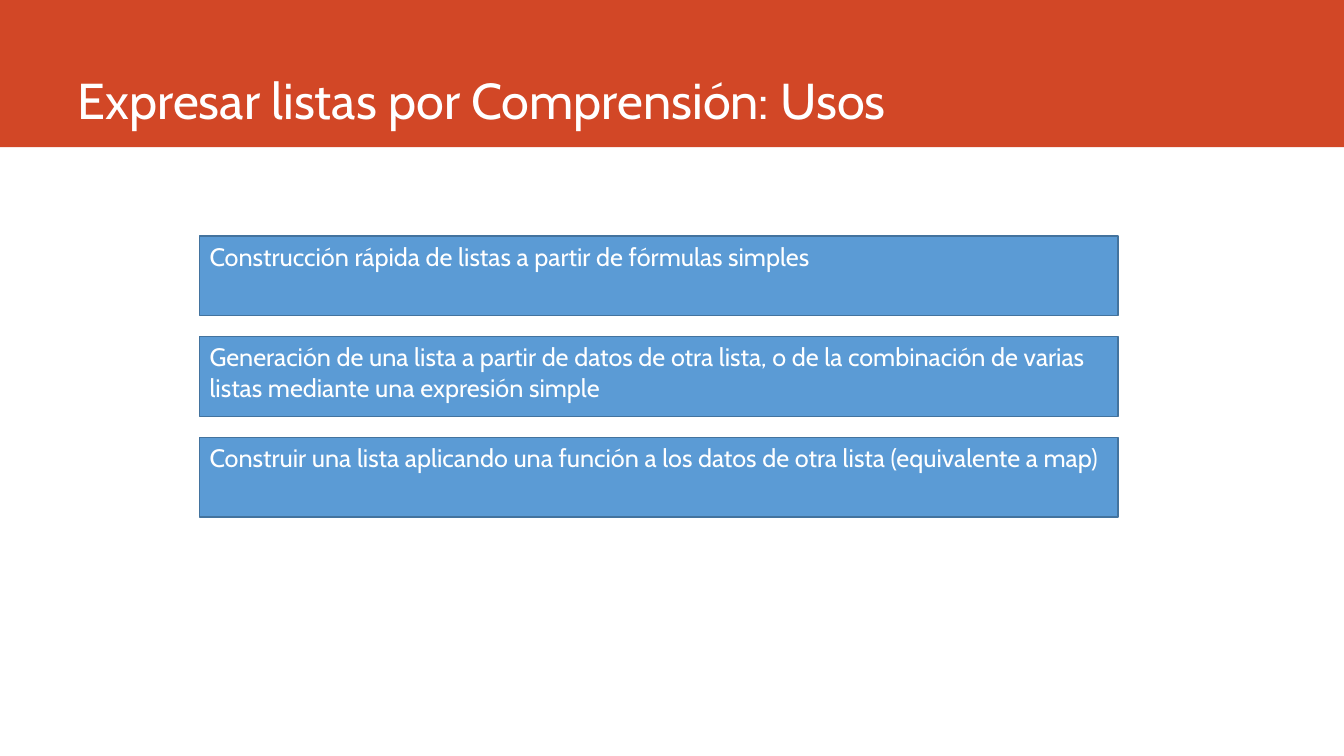
from pptx import Presentation
from pptx.dml.color import RGBColor
from pptx.enum.shapes import MSO_SHAPE
from pptx.enum.text import MSO_ANCHOR, PP_ALIGN
from pptx.util import Inches, Pt

COLORS = {"band": "D24726", "box": "5B9BD5", "border": "43739E", "text": "FFFFFF"}
FONT = "Cabin"
SLIDE_WIDTH, SLIDE_HEIGHT = 13.33, 7.5
TITLE = "Expresar listas por Comprensión: Usos"
USES = [
    "Construcción rápida de listas a partir de fórmulas simples",
    "Generación de una lista a partir de datos de otra lista, o de la combinación "
    "de varias listas mediante una expresión simple",
    "Construir una lista aplicando una función a los datos de otra lista "
    "(equivalente a map)",
]


def color(name):
    return RGBColor.from_string(COLORS[name])


def add_rectangle(page, left, top, width, height, fill):
    box = page.shapes.add_shape(
        MSO_SHAPE.RECTANGLE, Inches(left), Inches(top), Inches(width), Inches(height)
    )
    box.shadow.inherit = False
    box.fill.solid()
    box.fill.fore_color.rgb = color(fill)
    return box


def write_text(box, text, size, anchor):
    frame = box.text_frame
    frame.word_wrap = True
    frame.vertical_anchor = anchor
    para = frame.paragraphs[0]
    para.alignment = PP_ALIGN.LEFT
    span = para.add_run()
    span.text = text
    span.font.name = FONT
    span.font.size = Pt(size)
    span.font.color.rgb = color("text")


def add_header(page, left, top, width, height):
    """Place the title over a coloured band."""
    band = add_rectangle(page, left, top, width, height, "band")
    band.line.fill.background()
    title = page.shapes.title
    title.left, title.top = Inches(left + 0.67), Inches(top)
    title.width, title.height = Inches(11.75), Inches(height - 0.12)
    write_text(title, TITLE, 36, MSO_ANCHOR.BOTTOM)
    title.text_frame.paragraphs[0].line_spacing = 0.9
    title.element.addprevious(band.element)


def add_uses(page, left, top, width, box_height, pitch):
    """Stack one box per use, with their tops one pitch apart."""
    for index, use in enumerate(USES):
        box = add_rectangle(page, left, top + index * pitch, width, box_height, "box")
        box.line.color.rgb = color("border")
        box.line.width = Pt(1)
        write_text(box, use, 18, MSO_ANCHOR.TOP)


def main():
    deck = Presentation()
    deck.slide_width, deck.slide_height = Inches(SLIDE_WIDTH), Inches(SLIDE_HEIGHT)
    page = deck.slides.add_slide(deck.slide_layouts.get_by_name("Title Only"))
    add_header(page, 0, 0, SLIDE_WIDTH, 1.46)
    add_uses(page, 1.98, 2.34, 9.11, 0.79, 1)
    deck.save("out.pptx")


if __name__ == "__main__":
    main()
